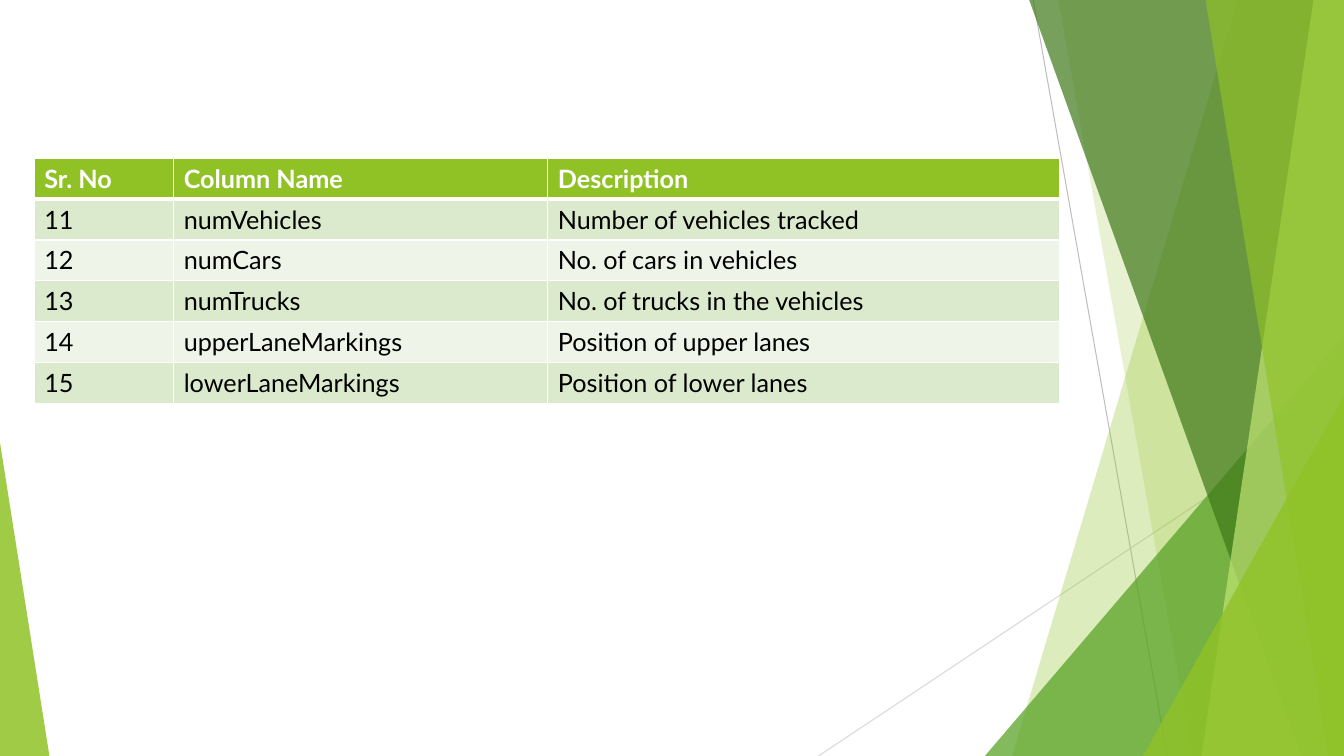
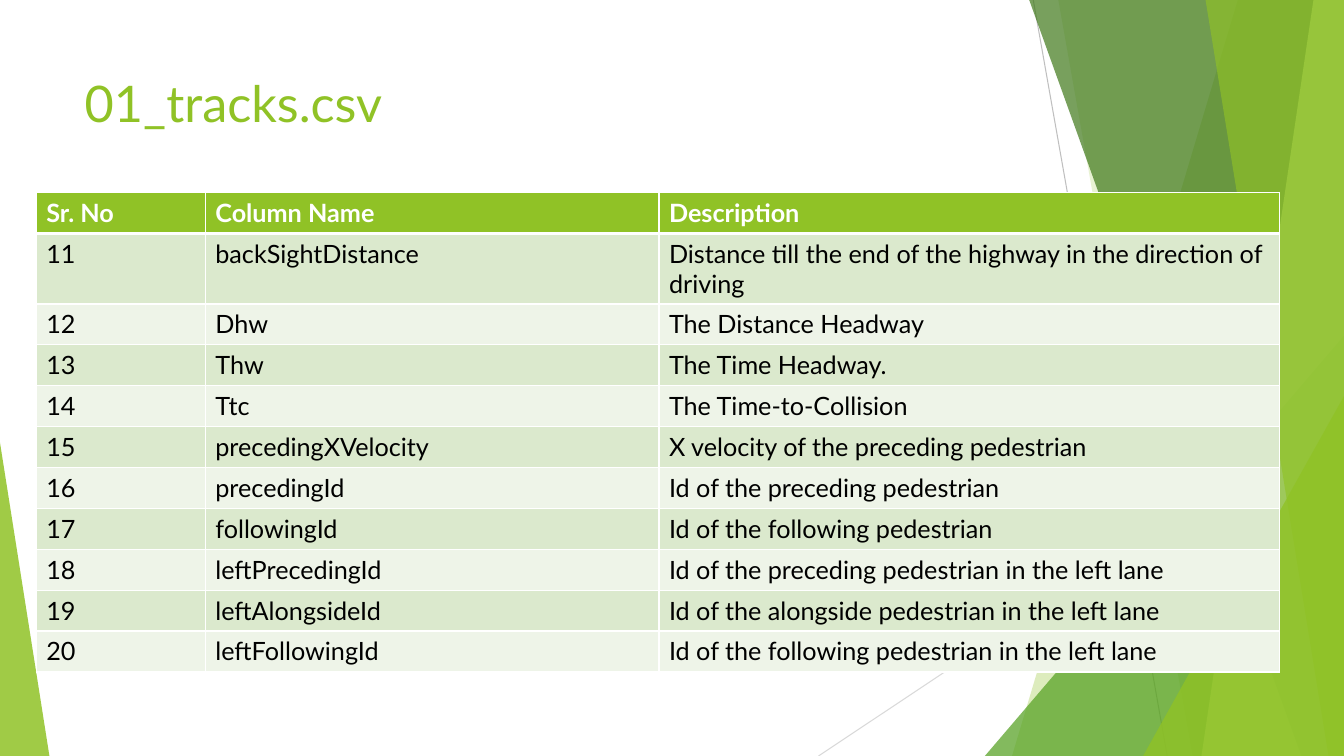
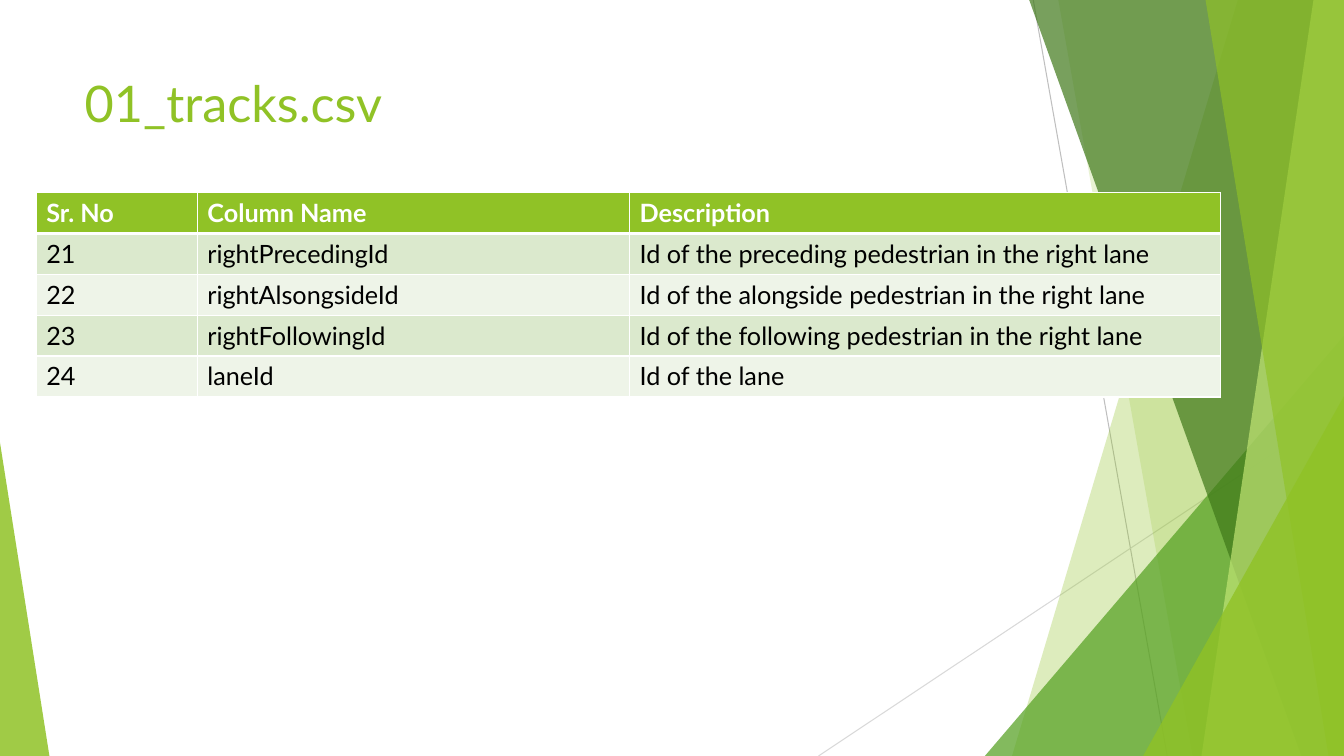
"""Build three slides that list the columns of a traffic data set."""
from dataclasses import dataclass

from lxml.etree import SubElement
from pptx import Presentation
from pptx.dml.color import RGBColor
from pptx.enum.shapes import MSO_CONNECTOR as Connector, MSO_SHAPE as Preset
from pptx.enum.text import MSO_ANCHOR as Anchor, MSO_AUTO_SIZE as AutoSize, PP_ALIGN as Align
from pptx.oxml.ns import qn
from pptx.util import Inches, Pt


@dataclass(frozen=True)
class Theme:
    font: str = "Lato"
    title_size: int = 36
    table_size: int = 18
    ray_width: float = 0.75
    border_width: int = 1
    header_rule: int = 3
    lime: str = "90C226"
    green: str = "54A021"
    forest: str = "3F7819"
    pale_lime: str = "C0E474"
    band_dark: str = "DBE9CD"
    band_light: str = "EEF4E8"
    white: str = "FFFFFF"
    black: str = "000000"
    ray_dark: str = "BFBFBF"
    ray_light: str = "D9D9D9"


theme = Theme()
presentation = Presentation()
presentation.slide_width = Inches(13.333)
presentation.slide_height = Inches(7.5)


def across(percent):
    return round(presentation.slide_width * percent / 100)


def down(percent):
    return round(presentation.slide_height * percent / 100)


RAYS = [
    (76.88, 0, 86.85, 100, theme.ray_dark),
    (100, 53.73, 60.9, 100, theme.ray_light),
]
PANEL, TRIANGLE = "panel", "triangle"
FACETS = [
    (PANEL, (92.1, 75.3), theme.lime, 30),
    (PANEL, (78.75, 88.73), theme.lime, 20),
    (TRIANGLE, (73.28, 44.4, 26.72, 1), theme.green, 72),
    (PANEL, (76.58, 96.83), theme.forest, 70),
    (PANEL, (97.73, 89.4), theme.pale_lime, 70),
    (PANEL, (89.7, 98.85), theme.lime, 65),
    (TRIANGLE, (85.05, 52.4, 14.95, 1), theme.lime, 80),
    (TRIANGLE, (0, 58.53, 3.68, 0), theme.lime, 85),
]
TITLE_PLACE = {"left": across(5.55), "top": down(8.93), "width": across(70.5), "height": down(19.2)}
TITLE_FRAME = {"word_wrap": True, "auto_size": AutoSize.NONE, "vertical_anchor": Anchor.TOP}
TITLE_FONT = {"name": theme.font, "size": Pt(theme.title_size), "bold": False}
COLUMN_SHARES = [0.136, 0.365, 0.499]
ROW_HEIGHT = 5.41
HEADER = ("Sr. No", "Column Name", "Description")

SLIDES = [
    {
        "title": None,
        "place": (2.55, 20.93, 76.28),
        "first": 11,
        "rows": [
            ("numVehicles", "Number of vehicles tracked"),
            ("numCars", "No. of cars in vehicles"),
            ("numTrucks", "No. of trucks in the vehicles"),
            ("upperLaneMarkings", "Position of upper lanes"),
            ("lowerLaneMarkings", "Position of lower lanes"),
        ],
    },
    {
        "title": "01_tracks.csv",
        "place": (2.7, 25.47, 92.48),
        "first": 11,
        "rows": [
            ("backSightDistance", "Distance till the end of the highway in the direction of driving"),
            ("Dhw", "The Distance Headway"),
            ("Thw", "The Time Headway."),
            ("Ttc", "The Time-to-Collision"),
            ("precedingXVelocity", "X velocity of the preceding pedestrian"),
            ("precedingId", "Id of the preceding pedestrian"),
            ("followingId", "Id of the following pedestrian"),
            ("leftPrecedingId", "Id of the preceding pedestrian in the left lane"),
            ("leftAlongsideId", "Id of the alongside pedestrian in the left lane"),
            ("leftFollowingId", "Id of the following pedestrian in the left lane"),
        ],
    },
    {
        "title": "01_tracks.csv",
        "place": (2.7, 25.47, 88.13),
        "first": 21,
        "rows": [
            ("rightPrecedingId", "Id of the preceding pedestrian in the right lane"),
            ("rightAlsongsideId", "Id of the alongside pedestrian in the right lane"),
            ("rightFollowingId", "Id of the following pedestrian in the right lane"),
            ("laneId", "Id of the lane"),
        ],
    },
]

for content in SLIDES:
    layout = presentation.slide_layouts[5 if content["title"] else 6]
    slide = presentation.slides.add_slide(layout)

    for start_x, start_y, end_x, end_y, color in RAYS:
        ray = slide.shapes.add_connector(
            Connector.STRAIGHT, across(start_x), down(start_y), across(end_x), down(end_y)
        )
        ray.line.color.rgb = RGBColor.from_string(color)
        ray.line.width = Pt(theme.ray_width)
        SubElement(ray.element.spPr, qn("a:effectLst"))

    for kind, geometry, color, opacity in FACETS:
        if kind == PANEL:
            top_x, bottom_x = geometry
            outline = slide.shapes.build_freeform(across(top_x), 0)
            corners = [(100, 0), (100, 100), (bottom_x, 100)]
            outline.add_line_segments([(across(x), down(y)) for x, y in corners], close=True)
            shape = outline.convert_to_shape()
        else:
            left, top, width, tip = geometry
            shape = slide.shapes.add_shape(
                Preset.ISOSCELES_TRIANGLE, across(left), down(top), across(width), down(100 - top)
            )
            shape.adjustments[0] = tip
        shape.shadow.inherit = False
        shape.line.fill.background()
        shape.fill.solid()
        shape.fill.fore_color.rgb = RGBColor.from_string(color)
        tint = shape.element.spPr.find(".//" + qn("a:srgbClr"))
        SubElement(tint, qn("a:alpha"), val=str(opacity * 1000))

    if content["title"]:
        title = slide.shapes.title
        title.text = content["title"]
        paragraph = title.text_frame.paragraphs[0]
        paragraph.alignment = Align.LEFT
        formats = [(title, TITLE_PLACE), (title.text_frame, TITLE_FRAME), (paragraph.font, TITLE_FONT)]
        for target, values in formats:
            for name, value in values.items():
                setattr(target, name, value)
        paragraph.font.color.rgb = RGBColor.from_string(theme.lime)

    numbered = [(str(number), *row) for number, row in enumerate(content["rows"], content["first"])]
    records = [HEADER, *numbered]
    left, top, width = content["place"]
    table = slide.shapes.add_table(
        len(records), len(HEADER), across(left), down(top), across(width), down(ROW_HEIGHT * len(records))
    ).table
    for column, share in zip(table.columns, COLUMN_SHARES):
        column.width = across(width * share)

    for row_index, record in enumerate(records):
        is_header = row_index == 0
        band = theme.band_dark if row_index % 2 else theme.band_light
        rules = dict.fromkeys(("a:lnL", "a:lnR", "a:lnT", "a:lnB"), theme.border_width)
        if row_index < 2:
            rules["a:lnB" if is_header else "a:lnT"] = theme.header_rule
        cell_font = {"name": theme.font, "size": Pt(theme.table_size), "bold": is_header}
        for column_index, text in enumerate(record):
            cell = table.cell(row_index, column_index)
            cell.text = text
            properties = cell._tc.get_or_add_tcPr()
            for side, points in rules.items():
                border = SubElement(properties, qn(side), w=str(Pt(points)))
                SubElement(SubElement(border, qn("a:solidFill")), qn("a:srgbClr"), val=theme.white)
            cell.fill.solid()
            cell.fill.fore_color.rgb = RGBColor.from_string(theme.lime if is_header else band)
            font = cell.text_frame.paragraphs[0].font
            for name, value in cell_font.items():
                setattr(font, name, value)
            font.color.rgb = RGBColor.from_string(theme.white if is_header else theme.black)

presentation.save("out.pptx")
